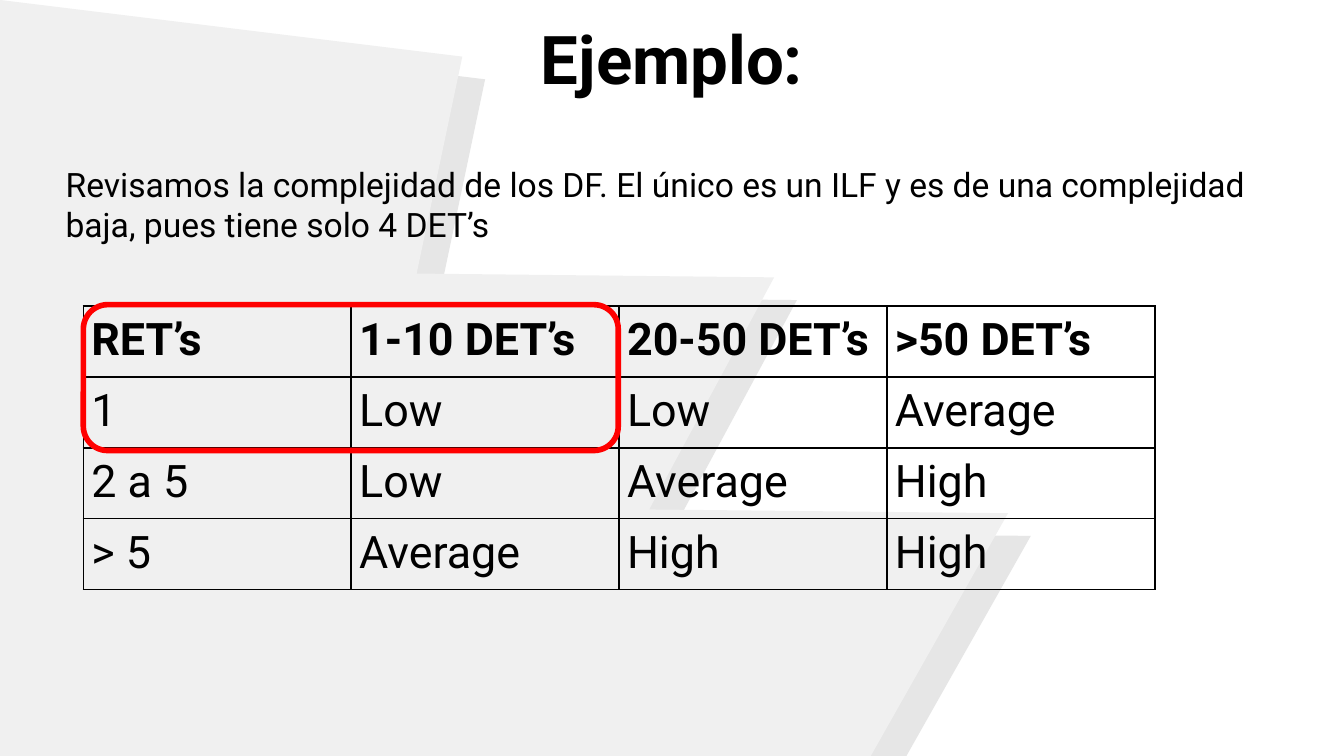
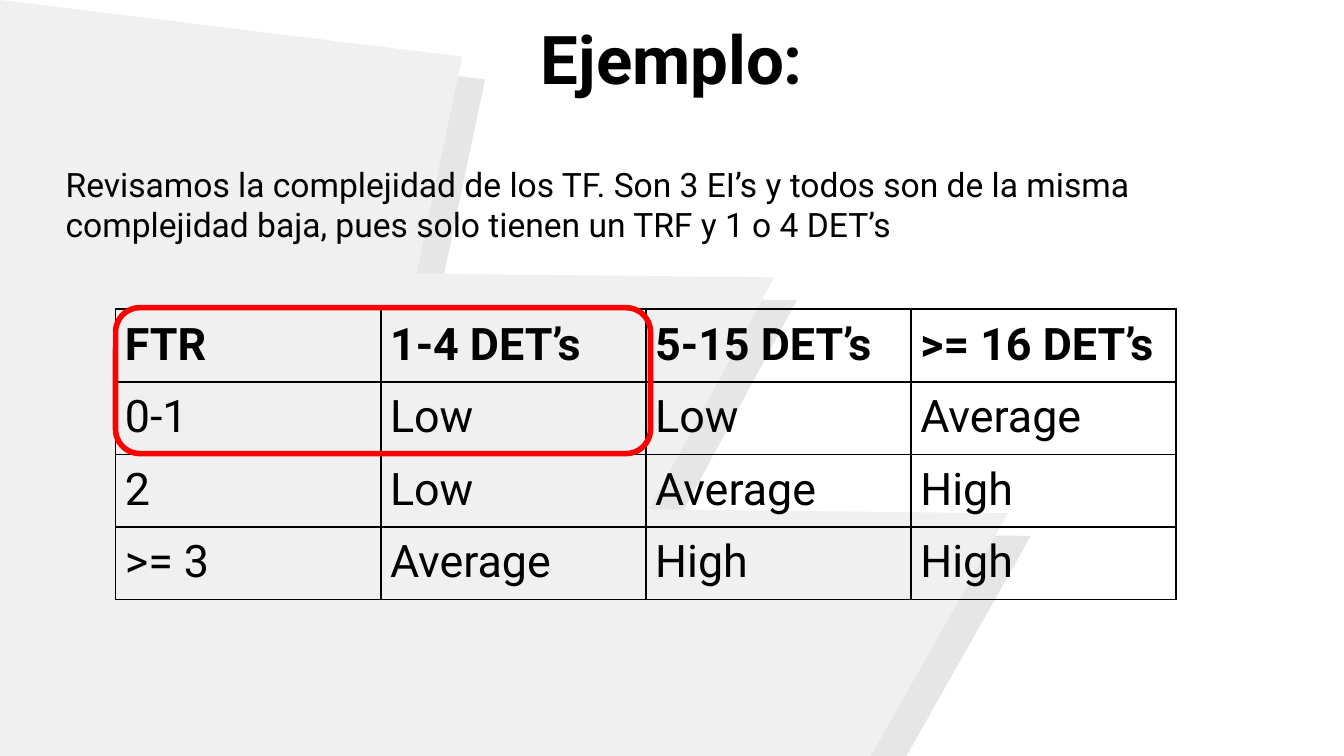
from lxml import etree
from pptx import Presentation
from pptx import util as u
from pptx.dml.color import RGBColor
from pptx.enum import shapes, text
from pptx.oxml.ns import qn

BLACK = RGBColor(0x00, 0x00, 0x00)
RED = RGBColor(0xFF, 0x00, 0x00)
BOLT = RGBColor(0xF0, 0xF0, 0xF0)
BOLT_SHADE = RGBColor(0xE6, 0xE6, 0xE6)
FONT = "Roboto"

prs = Presentation()
prs.slide_width, prs.slide_height = u.Inches(10), u.Inches(5.625)
COL, ROW = prs.slide_width / 100, prs.slide_height / 100  # 1 % of the slide

# Bolt outline behind every slide, in shares of the slide
BOLT_POINTS = [(0, 0), (34.4, 7.5), (31, 36.2), (57.6, 36.7), (48.3, 67.4),
               (75, 67.9), (64.7, 100.3), (-0.1, 100)]
BOLT_LAYERS = [(1.7, 3, BOLT_SHADE), (0, 0, BOLT)]

SLIDES = [
    {"body": "Revisamos la complejidad de los DF. El único es un ILF y es de una "
             "complejidad baja, pues tiene solo 4 DET’s",
     "left": 6.2, "top": 40.5, "col": 19.93, "row": 9.37, "margin": 0.06,
     "rows": [["RET’s", "1-10 DET’s", "20-50 DET’s", ">50 DET’s"],
              ["1", "Low", "Low", "Average"],
              ["2 a 5", "Low", "Average", "High"],
              ["> 5", "Average", "High", "High"]]},
    {"body": "Revisamos la complejidad de los TF. Son 3 EI’s y todos son de la misma "
             "complejidad baja, pues solo tienen un TRF y 1 o 4 DET’s",
     "left": 8.6, "top": 40.9, "col": 19.73, "row": 9.43, "margin": 0.07,
     "rows": [["FTR", "1-4 DET’s", "5-15 DET’s", ">= 16 DET’s"],
              ["0-1", "Low", "Low", "Average"],
              ["2", "Low", "Average", "High"],
              [">= 3", "Average", "High", "High"]]},
]


def box(x, y, w, h):
    return int(x * COL), int(y * ROW), int(w * COL), int(h * ROW)


def write(tf, words, size, bold=False, align=text.PP_ALIGN.LEFT):
    tf.word_wrap = True
    p = tf.paragraphs[0]
    p.alignment = align
    r = p.add_run()
    r.text = words
    r.font.name, r.font.size, r.font.bold = FONT, u.Pt(size), bold
    r.font.color.rgb = BLACK


for spec_row in SLIDES:
    s = prs.slides.add_slide(prs.slide_layouts[6])

    # Background bolt and its shade
    for dx, dy, colour in BOLT_LAYERS:
        pts = [((x + dx) * COL, (y + dy) * ROW) for x, y in BOLT_POINTS]
        fb = s.shapes.build_freeform(*pts[0])
        fb.add_line_segments(pts[1:], close=True)
        sp = fb.convert_to_shape()
        sp.shadow.inherit = False
        sp.fill.solid()
        sp.fill.fore_color.rgb = colour
        sp.line.fill.background()

    # Title and body
    tf = s.shapes.add_textbox(*box(4.7, 0.7, 90.6, 18.7)).text_frame
    tf.margin_top = u.Inches(0.09)
    write(tf, "Ejemplo:", 36, True, text.PP_ALIGN.CENTER)
    tf = s.shapes.add_textbox(*box(3.9, 20.8, 93, 12.6)).text_frame
    write(tf, spec_row["body"], 18)

    # Complexity table
    rows, left, top = spec_row["rows"], spec_row["left"], spec_row["top"]
    col, row = spec_row["col"], spec_row["row"]
    n_rows, n_cols = len(rows), len(rows[0])
    table = s.shapes.add_table(
        n_rows, n_cols, *box(left, top, n_cols * col, n_rows * row)).table
    table.first_row = table.horz_banding = False
    for i, values in enumerate(rows):
        for j, value in enumerate(values):
            cell = table.cell(i, j)
            cell.margin_left = cell.margin_right = u.Inches(spec_row["margin"])
            cell.margin_top = cell.margin_bottom = u.Inches(spec_row["margin"])
            write(cell.text_frame, value, 24, bold=i == 0)
            tc_pr = cell._tc.get_or_add_tcPr()
            for side in ("a:lnL", "a:lnR", "a:lnT", "a:lnB"):
                ln = etree.SubElement(tc_pr, qn(side), w=str(u.Pt(1)))
                fill = etree.SubElement(ln, qn("a:solidFill"))
                etree.SubElement(fill, qn("a:srgbClr"), val=str(BLACK))
            cell.fill.background()

    # Red frame around the first two columns and rows
    sp = s.shapes.add_shape(shapes.MSO_SHAPE.ROUNDED_RECTANGLE,
                            *box(left, top - 0.2, 39.8, 19.3))
    sp.shadow.inherit = False
    sp.fill.background()
    sp.line.color.rgb = RED
    sp.line.width = u.Pt(3)

prs.save("out.pptx")
